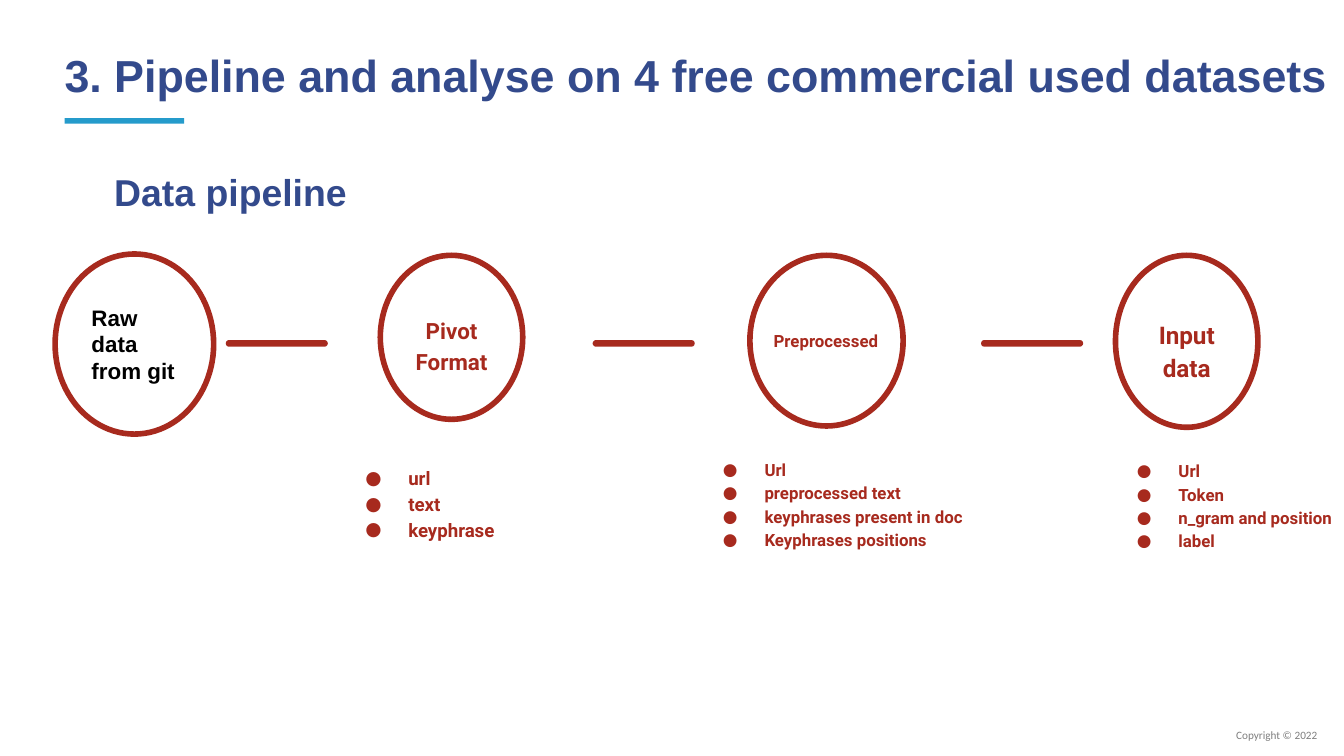
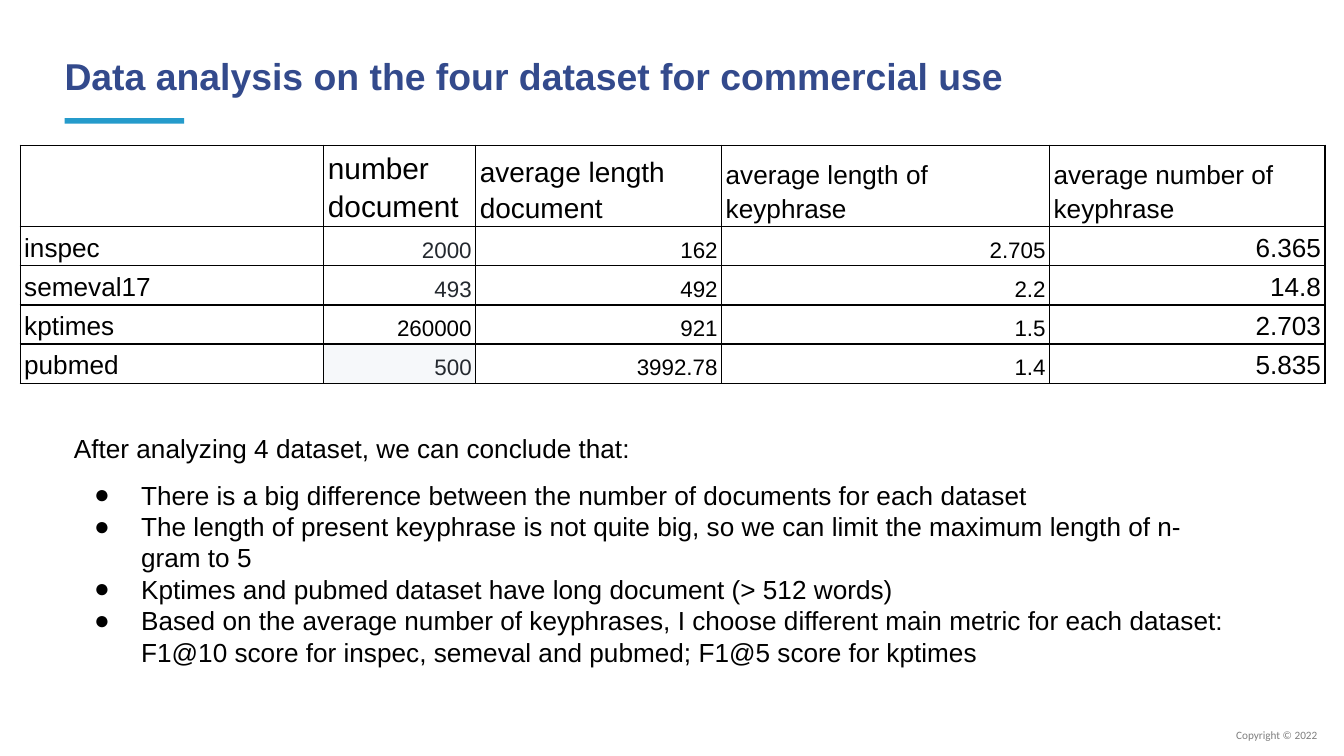
from lxml.etree import SubElement
from pptx import Presentation
from pptx.dml.color import RGBColor
from pptx.enum.shapes import MSO_SHAPE
from pptx.enum.text import MSO_ANCHOR, MSO_AUTO_SIZE, PP_ALIGN
from pptx.oxml.ns import qn
from pptx.util import Inches, Pt

SLIDE_W = 10
SLIDE_H = SLIDE_W * 9 / 16
NAVY, SKY, RED, BLACK, INK, GREY, WHITE, PALE = (
    "334A8C", "259BCB", "A72A1E", "000000", "24292F", "7F7F7F", "FFFFFF", "F6F8FA")
SLIM, WIDE, CELL = (0.07, 0.04), (0.1, 0.1), (0.03, 0.02)

TITLES = [("3. Pipeline and analyse on 4 free commercial used datasets", 24),
          ("Data analysis on the four dataset for commercial use", 20)]
SUBTITLE = "Data pipeline"
FOOTER = "Copyright © 2022"

RAW = ("Raw data from git", (0.41, 1.89, 1.18, 1.34))
STAGES = [
    dict(name="Pivot Format", size=12, oval=(2.83, 1.9, 1.06, 1.22), label=(2.97, 2.23, 0.78, 0.66),
         fields=["url", "text", "keyphrase"],
         box=(2.44, 3.35, 2.44, 1), field_size=10, hang=0.32, anchor=MSO_ANCHOR.TOP),
    dict(name="Preprocessed", size=9, oval=(5.58, 1.9, 1.14, 1.27), label=(5.63, 2.34, 1.03, 0.69),
         fields=["Url", "preprocessed text", "keyphrases present in doc", "Keyphrases positions"],
         box=(5.09, 3.47, 2.69, 0.72), field_size=9, hang=0.31, anchor=MSO_ANCHOR.BOTTOM),
    dict(name="Input data", size=13, oval=(8.3, 1.9, 1.06, 1.28), label=(8.44, 2.25, 0.78, 0.69),
         fields=["Url", "Token", "n_gram and position", "label"],
         box=(8.17, 3.41, 2.18, 0.79), field_size=9, hang=0.31, anchor=MSO_ANCHOR.BOTTOM),
]
LINK_LEFTS = [1.68, 4.41, 7.3]

COLUMNS = [("", 2.26, 14, 14), ("number document", 1.13, 16, 12),
           ("average length document", 1.83, 15, 12),
           ("average length of keyphrase", 2.44, 14, 12),
           ("average number of keyphrase", 2.05, 14, 14)]
ROWS = [("inspec", "2000", "162", "2.705", "6.365"),
        ("semeval17", "493", "492", "2.2", "14.8"),
        ("kptimes", "260000", "921", "1.5", "2.703"),
        ("pubmed", "500", "3992.78", "1.4", "5.835")]
HEAD_H, ROW_H = 0.39, 0.24

INTRO = "After analyzing 4 dataset, we can conclude that:"
FINDINGS = [
    "There is a big difference between the number of documents for each dataset",
    "The length of present keyphrase is not quite big, so we can limit the maximum length of n-gram to 5",
    "Kptimes and pubmed dataset have long document (> 512 words)",
    "Based on the average number of keyphrases, I choose different main metric for each dataset: "
    "F1@10 score for inspec, semeval and pubmed; F1@5 score for kptimes",
]


def rgb(color):
    return RGBColor.from_string(color)


def place(sp, at):
    sp.left, sp.top, sp.width, sp.height = map(Inches, at)


def frame(sp, inset, anchor=MSO_ANCHOR.TOP, fit=MSO_AUTO_SIZE.NONE):
    tf = sp.text_frame
    tf.word_wrap, tf.auto_size, tf.vertical_anchor = True, fit, anchor
    tf.margin_left = tf.margin_right = Inches(inset[0])
    tf.margin_top = tf.margin_bottom = Inches(inset[1])
    return tf


def write(tf, text, size, color, font="Arial", bold=False, align=PP_ALIGN.LEFT,
          spacing=1.0, before=0, after=0, hang=None):
    p = tf.paragraphs[0]
    if p.runs:
        p = tf.add_paragraph()
    p.alignment, p.line_spacing = align, spacing
    p.space_before, p.space_after = Pt(before), Pt(after)
    pPr = p._p.get_or_add_pPr()
    pPr.set("marL", str(Inches(0.5 if hang else 0)))
    pPr.set("indent", str(-Inches(hang or 0)))
    if hang:
        SubElement(SubElement(pPr, qn("a:buClr")), qn("a:srgbClr"), val=color)
        SubElement(pPr, qn("a:buFont"), typeface=font)
        SubElement(pPr, qn("a:buChar"), char="●")
    else:
        SubElement(pPr, qn("a:buNone"))
    r = p.add_run()
    r.text = text
    r.font.name, r.font.size, r.font.bold = font, Pt(size), bold
    r.font.color.rgb = rgb(color)


def add_box(s, at, inset=WIDE, **options):
    return frame(s.shapes.add_textbox(*map(Inches, at)), inset, **options)


def add_shape(s, kind, at, fill=None, line=None):
    sp = s.shapes.add_shape(kind, *map(Inches, at))
    sp.shadow.inherit = False
    if fill:
        sp.fill.solid()
        sp.fill.fore_color.rgb = rgb(fill)
    else:
        sp.fill.background()
    if line:
        sp.line.color.rgb = rgb(line)
        sp.line.width = Pt(3)
    else:
        sp.line.fill.background()
    return sp


def set_up_layout(s, layout):
    place(layout.placeholders[0], (0.41, 0.08, 9.59, 1))
    band = add_shape(s, MSO_SHAPE.RECTANGLE, (0.48, 0.88, 0.89, 0.04), fill=SKY)
    footer = s.shapes.add_textbox(*map(Inches, (9.1, 5.38, 0.8, 0.18)))
    tf = frame(footer, SLIM, fit=MSO_AUTO_SIZE.SHAPE_TO_FIT_TEXT)
    write(tf, FOOTER, 6, GREY, "Calibri", align=PP_ALIGN.CENTER)
    for sp in (band, footer):
        layout.shapes._spTree.append(sp._element)


def heading(sp, text, size):
    write(frame(sp, SLIM, MSO_ANCHOR.MIDDLE), text, size, NAVY, bold=True, spacing=0.9)


def draw_pipeline(s):
    subtitle = s.placeholders[1]
    place(subtitle, (0.78, 1.08, 5.04, 0.74))
    heading(subtitle, SUBTITLE, 20)

    name, at = RAW
    raw = add_shape(s, MSO_SHAPE.OVAL, at, line=RED)
    write(frame(raw, WIDE, MSO_ANCHOR.MIDDLE), name, 12, BLACK, bold=True)

    for left in LINK_LEFTS:
        link = add_shape(s, MSO_SHAPE.ROUNDED_RECTANGLE, (left, 2.53, 0.76, 0.05), fill=RED)
        link.adjustments[0] = 0.5

    for stage in STAGES:
        add_shape(s, MSO_SHAPE.OVAL, stage["oval"], line=RED)
        write(add_box(s, stage["label"]), stage["name"], stage["size"], RED, "Roboto", True,
              PP_ALIGN.CENTER, 1.15, after=16)
        tf = add_box(s, stage["box"], anchor=stage["anchor"])
        for field in stage["fields"]:
            write(tf, field, stage["field_size"], RED, "Roboto", True, spacing=1.15,
                  hang=stage["hang"])


def style_cell(cell, fill):
    cell.margin_left = cell.margin_right = Inches(CELL[0])
    cell.margin_top = cell.margin_bottom = Inches(CELL[1])
    cell.vertical_anchor = MSO_ANCHOR.BOTTOM
    tcPr = cell._tc.get_or_add_tcPr()
    for side in ("a:lnL", "a:lnR", "a:lnT", "a:lnB"):
        ln = SubElement(tcPr, qn(side), w=str(Pt(0.75)))
        SubElement(SubElement(ln, qn("a:solidFill")), qn("a:srgbClr"), val=BLACK)
    cell.fill.solid()
    cell.fill.fore_color.rgb = rgb(fill)


def draw_table(s):
    widths = [column[1] for column in COLUMNS]
    at = (0.15, 1.08, sum(widths), HEAD_H + ROW_H * len(ROWS))
    table = s.shapes.add_table(len(ROWS) + 1, len(COLUMNS), *map(Inches, at)).table
    table.first_row = table.horz_banding = False
    for i, row in enumerate(table.rows):
        row.height = Inches(ROW_H if i else HEAD_H)
    for j, (head, width, head_size, size) in enumerate(COLUMNS):
        table.columns[j].width = Inches(width)
        for i, text in enumerate([head] + [row[j] for row in ROWS]):
            cell = table.cell(i, j)
            style_cell(cell, PALE if text == "500" else WHITE)
            if text:
                muted = i and j == 1 and text != "260000"
                write(cell.text_frame, text, size if i else head_size, INK if muted else BLACK,
                      align=PP_ALIGN.RIGHT if i and j else PP_ALIGN.LEFT, spacing=1.15)


def draw_findings(s):
    body = s.placeholders[1]
    place(body, (0.48, 3.18, 8.83, 2))
    tf = frame(body, SLIM)
    write(tf, INTRO, 14, BLACK, before=8)
    for i, finding in enumerate(FINDINGS):
        write(tf, finding, 14, BLACK, before=0 if i else 8, hang=0.35)


def main():
    prs = Presentation()
    prs.slide_width, prs.slide_height = Inches(SLIDE_W), Inches(SLIDE_H)
    layout = prs.slide_layouts[1]
    slides = [prs.slides.add_slide(layout) for _ in TITLES]
    set_up_layout(slides[0], layout)
    for s, (title, size) in zip(slides, TITLES):
        heading(s.shapes.title, title, size)
    draw_pipeline(slides[0])
    draw_table(slides[1])
    draw_findings(slides[1])
    prs.save("out.pptx")


if __name__ == "__main__":
    main()
